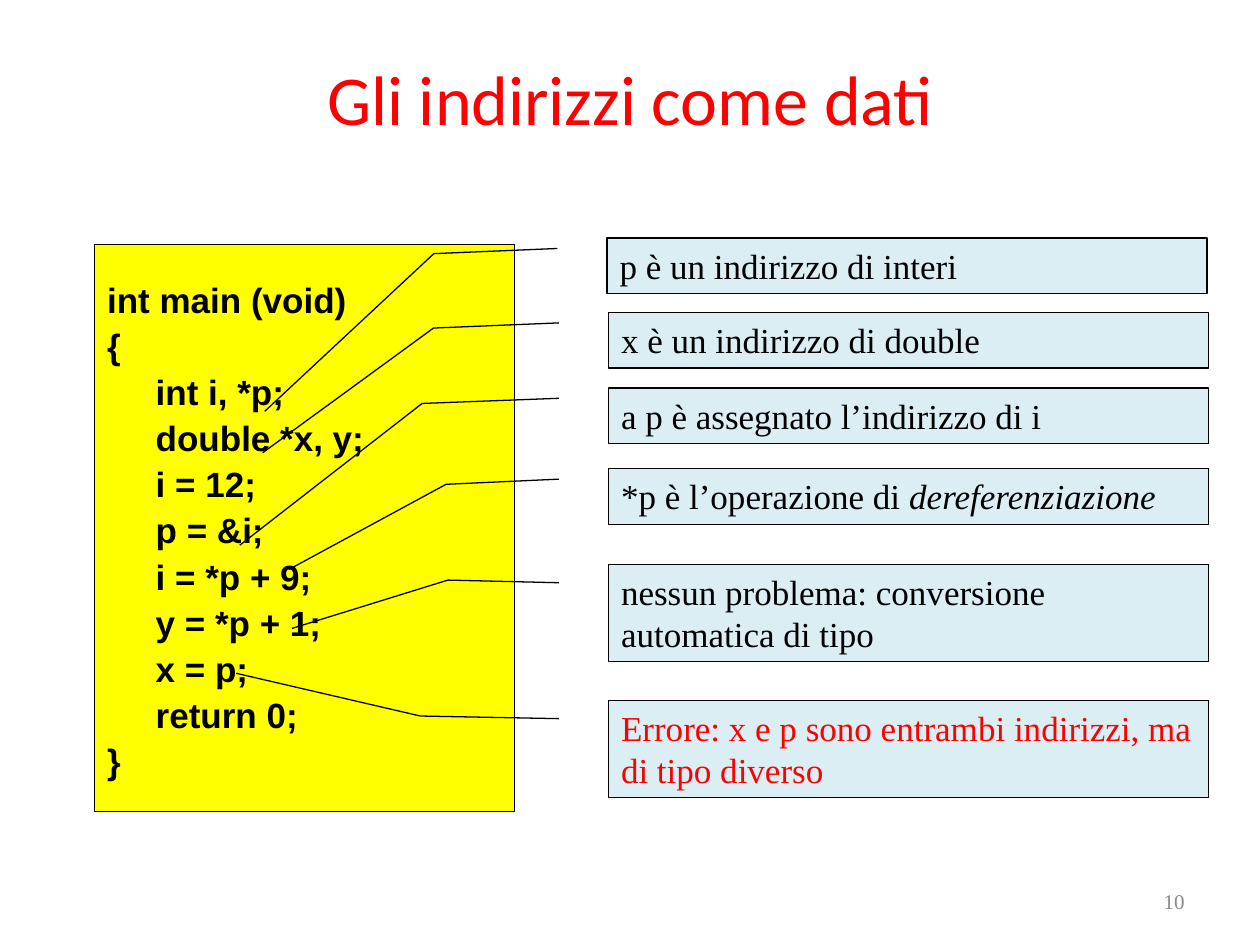
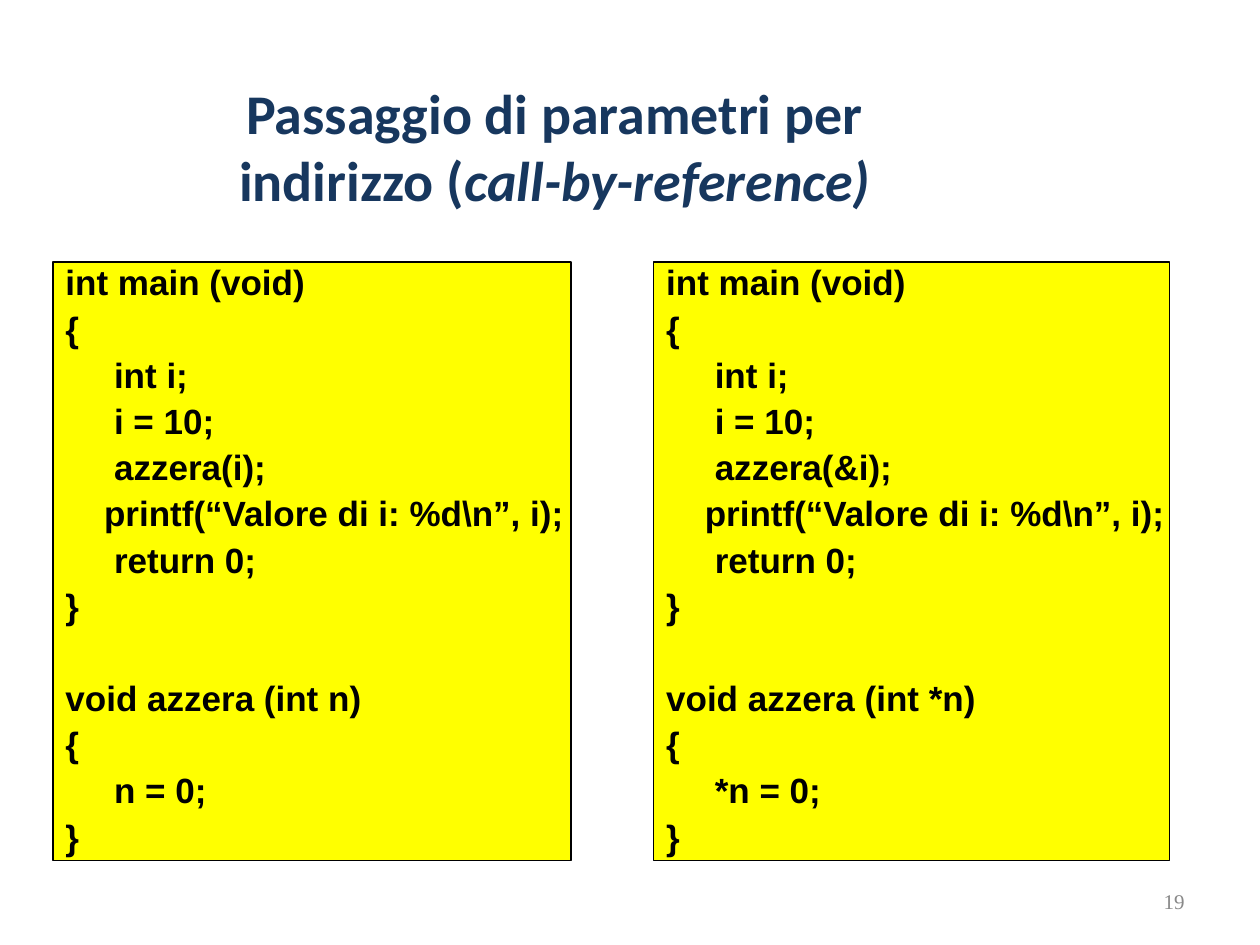
from pptx import Presentation
from pptx import util as u
from pptx.dml.color import RGBColor
from pptx.enum import shapes, text
from pptx.util import Cm

RED = RGBColor(0xFF, 0x00, 0x00)
NAVY = RGBColor(0x17, 0x37, 0x5E)
BLACK = RGBColor(0x00, 0x00, 0x00)
GREY = RGBColor(0x89, 0x89, 0x89)
YELLOW = RGBColor(0xFF, 0xFF, 0x00)
PALE_BLUE = RGBColor(0xDB, 0xEE, 0xF4)

TITLE_FONT = "Calibri"
CODE_FONT = "Arial"
NOTE_FONT = "Times New Roman"

BODY_SIZE = 20
CODE_SPACING = 1.1
FUNCTION_GAP = u.Pt(26.4)
STATEMENT_INDENT = Cm(0.98)
PRINTF_INDENT = Cm(0.78)
CALLOUT_WIDTH = 12.09
ONE_LINE, TWO_LINES = 1.12, 1.96


def add_run(paragraph, words, font, size, color, bold=False, italic=False):
    run = paragraph.add_run()
    run.text = words
    run.font.name = font
    run.font.size = u.Pt(size)
    run.font.color.rgb = color
    run.font.bold = bold
    run.font.italic = italic


def add_titled_slide(presentation, number, left, top, width):
    slide = presentation.slides.add_slide(presentation.slide_layouts[5])
    title = slide.shapes.title
    title.left, title.top = Cm(left), Cm(top)
    title.width, title.height = Cm(width), Cm(2.41)
    frame = title.text_frame
    frame.auto_size = text.MSO_AUTO_SIZE.NONE
    frame.vertical_anchor = text.MSO_ANCHOR.MIDDLE
    paragraph = frame.paragraphs[0]
    paragraph.alignment = text.PP_ALIGN.CENTER
    add_slide_number(slide, number)
    return slide, paragraph


def add_slide_number(slide, number):
    box = slide.shapes.add_textbox(Cm(18.21), Cm(17.65), Cm(5.92), Cm(1.02))
    frame = box.text_frame
    frame.word_wrap = True
    frame.vertical_anchor = text.MSO_ANCHOR.MIDDLE
    paragraph = frame.paragraphs[0]
    paragraph.alignment = text.PP_ALIGN.RIGHT
    add_run(paragraph, str(number), NOTE_FONT, 12, GREY)


def add_box(slide, kind, left, top, width, height, fill):
    box = slide.shapes.add_shape(kind, Cm(left), Cm(top), Cm(width), Cm(height))
    box.shadow.inherit = False
    box.fill.solid()
    box.fill.fore_color.rgb = fill
    box.line.color.rgb = BLACK
    box.line.width = u.Pt(0.75)
    return box


def add_code_line(frame, words, indent=0, gap=0):
    first = not frame.paragraphs[0].runs
    paragraph = frame.paragraphs[0] if first else frame.add_paragraph()
    paragraph.alignment = text.PP_ALIGN.JUSTIFY
    paragraph.line_spacing = CODE_SPACING
    paragraph.space_before = gap
    paragraph._p.get_or_add_pPr().set("marL", str(int(indent)))
    add_run(paragraph, words, CODE_FONT, BODY_SIZE, BLACK, bold=True)


def add_code(slide, left, top, width, height, functions, bottom_inset=0.13):
    box = add_box(slide, shapes.MSO_SHAPE.FLOWCHART_PROCESS,
                  left, top, width, height, YELLOW)
    frame = box.text_frame
    frame.word_wrap = False
    frame.vertical_anchor = text.MSO_ANCHOR.MIDDLE
    frame.margin_bottom = Cm(bottom_inset)
    for index, (header, statements) in enumerate(functions):
        add_code_line(frame, header, gap=FUNCTION_GAP if index else 0)
        add_code_line(frame, "{")
        for statement in statements:
            is_printf = statement.startswith("printf")
            add_code_line(frame, statement,
                          PRINTF_INDENT if is_printf else STATEMENT_INDENT)
        add_code_line(frame, "}")


def add_callout(slide, left, top, height, elbow, tip, words, emphasis="", color=BLACK):
    callout = add_box(slide, shapes.MSO_SHAPE.LINE_CALLOUT_2,
                      left, top, CALLOUT_WIDTH, height, PALE_BLUE)
    for index, value in enumerate((0.188, -0.083, *elbow, *tip)):
        callout.adjustments[index] = value
    frame = callout.text_frame
    frame.word_wrap = True
    frame.auto_size = text.MSO_AUTO_SIZE.SHAPE_TO_FIT_TEXT
    frame.vertical_anchor = text.MSO_ANCHOR.TOP
    paragraph = frame.paragraphs[0]
    paragraph.alignment = text.PP_ALIGN.LEFT
    add_run(paragraph, words, NOTE_FONT, BODY_SIZE, color)
    if emphasis:
        add_run(paragraph, emphasis, NOTE_FONT, BODY_SIZE, color, italic=True)


def azzera_program(argument, parameter):
    return [
        ("int main (void)", ["int i;", "i = 10;", f"azzera({argument});",
                             "printf(“Valore di i: %d\\n”, i);", "return 0;"]),
        (f"void azzera (int {parameter})", [f"{parameter} = 0;"]),
    ]


def build_addresses_slide(presentation):
    slide, title = add_titled_slide(presentation, 10, 1.27, 0.76, 22.86)
    add_run(title, "Gli indirizzi come dati", TITLE_FONT, 40, RED)
    add_code(slide, 1.91, 4.93, 8.46, 11.43, [
        ("int main (void)", ["int i, *p;", "double *x, y;", "i = 12;", "p = &i;",
                             "i = *p + 9;", "y = *p + 1;", "x = p;", "return 0;"]),
    ])
    callouts = [
        (12.24, 4.8, ONE_LINE, (0.281, -0.289), (3.119, -0.571),
         "p è un indirizzo di interi"),
        (12.27, 6.3, ONE_LINE, (0.281, -0.292), (2.526, -0.577),
         "x è un indirizzo di double"),
        (12.27, 7.82, ONE_LINE, (0.281, -0.311), (2.832, -0.615),
         "a p è assegnato l’indirizzo di i"),
        (12.27, 9.45, ONE_LINE, (0.281, -0.271), (1.813, -0.533),
         "*p è l’operazione di ", "dereferenziazione"),
        (12.27, 11.38, TWO_LINES, (0.161, -0.268), (0.658, -0.528),
         "nessun problema: conversione automatica di tipo"),
        (12.27, 14.12, TWO_LINES, (0.161, -0.314), (-0.279, -0.621),
         "Errore: x e p sono entrambi indirizzi, ma di tipo diverso", "", RED),
    ]
    for callout in callouts:
        add_callout(slide, *callout)


def build_reference_slide(presentation):
    slide, title = add_titled_slide(presentation, 19, 2.69, 1.73, 16.99)
    add_run(title, "Passaggio di parametri per", TITLE_FONT, 32, NAVY, bold=True)
    title.add_line_break()
    add_run(title, "indirizzo (", TITLE_FONT, 32, NAVY, bold=True)
    add_run(title, "call-by-reference)", TITLE_FONT, 32, NAVY, bold=True, italic=True)
    programs = [(1.07, 10.44, "i", "n"), (13.18, 10.39, "&i", "*n")]
    for left, width, argument, parameter in programs:
        add_code(slide, left, 5.28, width, 12.07,
                 azzera_program(argument, parameter), bottom_inset=0.3)


def main():
    presentation = Presentation()
    presentation.slide_width = Cm(25.4)
    presentation.slide_height = Cm(19.05)
    build_addresses_slide(presentation)
    build_reference_slide(presentation)
    presentation.save("out.pptx")


if __name__ == "__main__":
    main()
